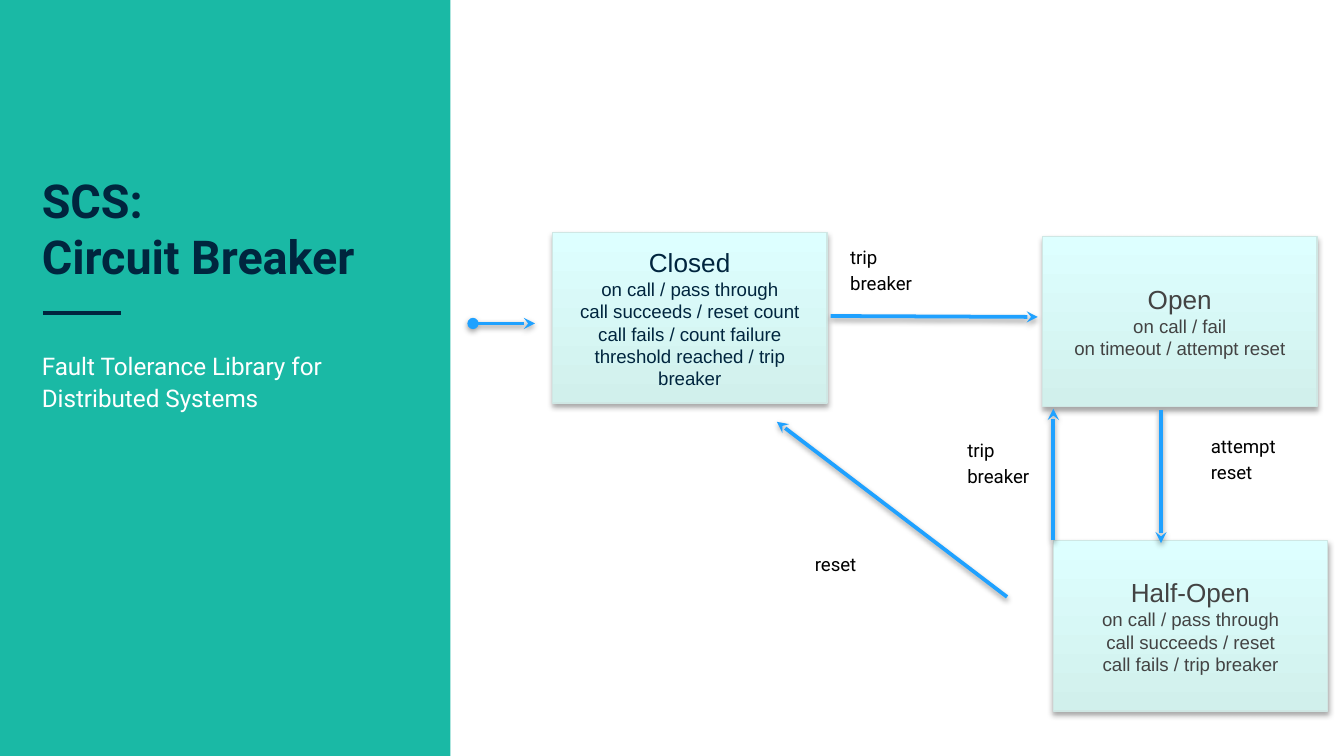
"""Build the circuit breaker state diagram slide."""
from dataclasses import dataclass
from typing import Any, NamedTuple

from lxml import etree
from pptx import Presentation
from pptx.dml.color import RGBColor
from pptx.enum.shapes import MSO_CONNECTOR, MSO_SHAPE
from pptx.enum.text import MSO_ANCHOR, PP_ALIGN
from pptx.oxml.ns import qn
from pptx.util import Pt

RECTANGLE = MSO_SHAPE.RECTANGLE
STRAIGHT = MSO_CONNECTOR.STRAIGHT
TOP, MIDDLE, BOTTOM = MSO_ANCHOR.TOP, MSO_ANCHOR.MIDDLE, MSO_ANCHOR.BOTTOM
LEFT, CENTER = PP_ALIGN.LEFT, PP_ALIGN.CENTER


@dataclass(frozen=True)
class Theme:
    """Hold the colours, fonts and type sizes of the slide."""

    panel: str = "1AB9A5"
    navy: str = "00253E"
    grey: str = "434343"
    white: str = "FFFFFF"
    black: str = "000000"
    arrow: str = "1FA1FF"
    state_edge: str = "CFE7E4"
    state_bottom: str = "D1F0EC"
    state_top: str = "DDFFFF"
    heading_font: str = "Roboto"
    state_font: str = "Arial"
    title_size: float = 25
    subtitle_size: float = 13
    state_size: float = 14
    small_size: float = 10


class Frame(NamedTuple):
    """Place a box on the slide, in points."""

    left: float
    top: float
    width: float
    height: float


class Style(NamedTuple):
    """Describe how a paragraph looks."""

    font: str
    size: float
    color: str
    bold: bool = False
    align: Any = LEFT
    spacing: float = 1.0


class State(NamedTuple):
    """Describe one state of the breaker."""

    name: str
    rules: tuple[str, ...]
    left: float
    top: float
    color: str


class Arrow(NamedTuple):
    """Describe one transition, from start to end."""

    start: tuple[float, float]
    end: tuple[float, float]
    head: str = "none"


class Label(NamedTuple):
    """Describe the words beside a transition."""

    lines: tuple[str, ...]
    left: float
    top: float


THEME = Theme()
STATE_WIDTH, STATE_HEIGHT = 147, 91.2
TITLE = Style(THEME.heading_font, THEME.title_size, THEME.navy, bold=True)
SUBTITLE = Style(THEME.heading_font, THEME.subtitle_size, THEME.white, spacing=1.1)
LABEL = Style(THEME.heading_font, THEME.small_size, THEME.black, spacing=1.15)

STATES = (
    State("Closed", ("on call / pass through", "call succeeds / reset count",
                     "call fails / count failure", "threshold reached / trip breaker"),
          296, 124.7, THEME.navy),
    State("Half-Open", ("on call / pass through", "call succeeds / reset",
                        "call fails / trip breaker"), 564.3, 289.7, THEME.grey),
    State("Open", ("on call / fail", "on timeout / attempt reset"),
          558.5, 126.7, THEME.grey),
)
ARROWS = (
    Arrow((445, 169.3), (556, 169.8)),
    Arrow((539.5, 319.8), (416.2, 226)),
    Arrow((622, 219.6), (622, 291)),
    Arrow((564.3, 289.5), (564.3, 219)),
    Arrow((253.4, 173.3), (286.6, 173.3), head="oval"),
)
LABELS = (
    Label(("trip", "breaker"), 502, 226.2),
    Label(("reset",), 420.3, 287.5),
    Label(("attempt", "reset"), 632.4, 224.2),
    Label(("trip", "breaker"), 439.2, 122.8),
)


def assign(target: Any, values: dict[str, Any]) -> None:
    """Set every named attribute on the target."""
    for name, value in values.items():
        setattr(target, name, value)


def add_shadow(shape: Any, distance: float, opacity: int) -> None:
    """Give a shape a soft shadow falling straight down."""
    effects = etree.SubElement(shape._element.spPr, qn("a:effectLst"))
    outer = etree.SubElement(effects, qn("a:outerShdw"), blurRad=str(Pt(3.1)),
                             dist=str(Pt(distance)), dir="5400000", rotWithShape="0")
    color = etree.SubElement(outer, qn("a:srgbClr"), val=THEME.black)
    etree.SubElement(color, qn("a:alpha"), val=str(opacity * 1000))


def write(box: Any, content: list[tuple[str, Style]], anchor: Any,
          side: float, edge: float) -> None:
    """Fill a box with one styled paragraph per entry."""
    frame = box.text_frame
    assign(frame, {"word_wrap": True, "vertical_anchor": anchor,
                   "margin_left": Pt(side), "margin_right": Pt(7.2),
                   "margin_top": Pt(edge), "margin_bottom": Pt(edge)})
    for index, (text, style) in enumerate(content):
        para = frame.add_paragraph() if index else frame.paragraphs[0]
        assign(para, {"text": text, "alignment": style.align,
                      "line_spacing": style.spacing})
        for span in para.runs:
            assign(span.font, {"name": style.font, "size": Pt(style.size),
                               "bold": style.bold})
            span.font.color.rgb = RGBColor.from_string(style.color)


def add_text(page: Any, place: Frame, content: list[tuple[str, Style]],
             anchor: Any = TOP, side: float = 7.2) -> None:
    """Add a text box."""
    box = page.shapes.add_textbox(*map(Pt, place))
    write(box, content, anchor, side, 7.2)


def add_panel(page: Any, place: Frame) -> None:
    """Add the plain coloured side panel."""
    panel = page.shapes.add_shape(RECTANGLE, *map(Pt, place))
    panel.shadow.inherit = False
    panel.fill.solid()
    panel.fill.fore_color.rgb = RGBColor.from_string(THEME.panel)
    panel.line.fill.background()


def add_state(page: Any, state: State) -> None:
    """Add a shaded state box with its name and rules."""
    place = Frame(state.left, state.top, STATE_WIDTH, STATE_HEIGHT)
    box = page.shapes.add_shape(RECTANGLE, *map(Pt, place))
    box.fill.gradient()
    box.fill.gradient_angle = 90
    for stop, color in zip(box.fill.gradient_stops, (THEME.state_bottom, THEME.state_top)):
        stop.color.rgb = RGBColor.from_string(color)
    box.line.width = Pt(0.75)
    box.line.color.rgb = RGBColor.from_string(THEME.state_edge)
    add_shadow(box, 1.8, 35)
    name = Style(THEME.state_font, THEME.state_size, state.color, align=CENTER)
    rule = name._replace(size=THEME.small_size)
    content = [(state.name, name)] + [(text, rule) for text in state.rules]
    write(box, content, MIDDLE, 7.2, 3.6)


def add_line(page: Any, start: tuple[float, float], end: tuple[float, float],
             color: str, width: float) -> Any:
    """Add a straight line and return it."""
    line = page.shapes.add_connector(STRAIGHT, *map(Pt, start + end))
    line.line.width = Pt(width)
    line.line.color.rgb = RGBColor.from_string(color)
    return line


def add_arrow(page: Any, arrow: Arrow) -> None:
    """Add a transition arrow."""
    line = add_line(page, arrow.start, arrow.end, THEME.arrow, 2)
    outline = line.line._get_or_add_ln()
    etree.SubElement(outline, qn("a:headEnd"), type=arrow.head)
    etree.SubElement(outline, qn("a:tailEnd"), type="stealth")
    add_shadow(line, 1.6, 38)


def main() -> None:
    """Build and save the deck."""
    deck = Presentation()
    assign(deck, {"slide_width": Pt(720), "slide_height": Pt(405)})
    page = deck.slides.add_slide(deck.slide_layouts[6])
    add_panel(page, Frame(0, 0, 241.3, 405))
    rule = add_line(page, (23, 167.8), (65, 167.8), THEME.navy, 2.25)
    etree.SubElement(rule._element.spPr, qn("a:effectLst"))
    add_text(page, Frame(15.3, 43.2, 217, 116), [("SCS:\vCircuit Breaker", TITLE)], BOTTOM)
    add_text(page, Frame(15.3, 179.3, 217, 118),
             [("Fault Tolerance Library for Distributed Systems", SUBTITLE)])
    for state in STATES:
        add_state(page, state)
    for arrow in ARROWS:
        add_arrow(page, arrow)
    for label in LABELS:
        place = Frame(label.left, label.top, 62, 14.4 + 14 * len(label.lines))
        add_text(page, place, [(text, LABEL) for text in label.lines], side=16.2)
    deck.save("out.pptx")


if __name__ == "__main__":
    main()
